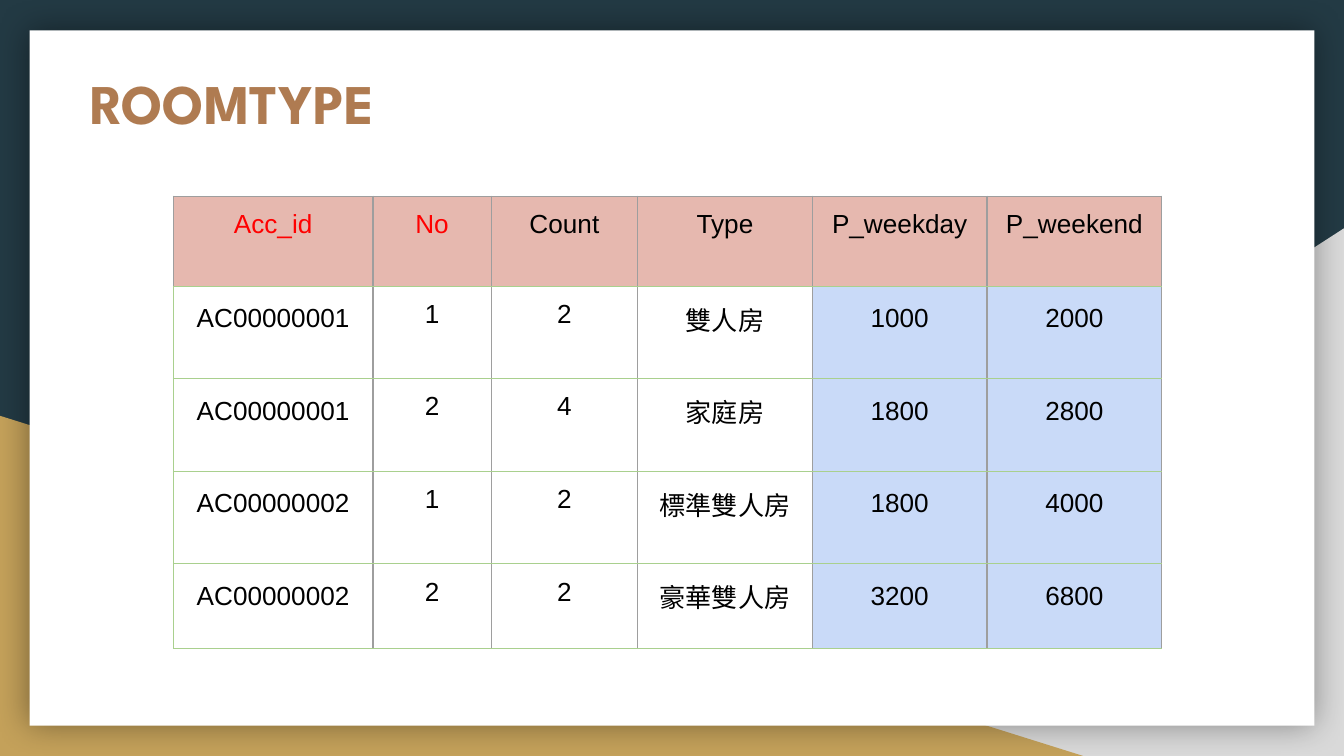
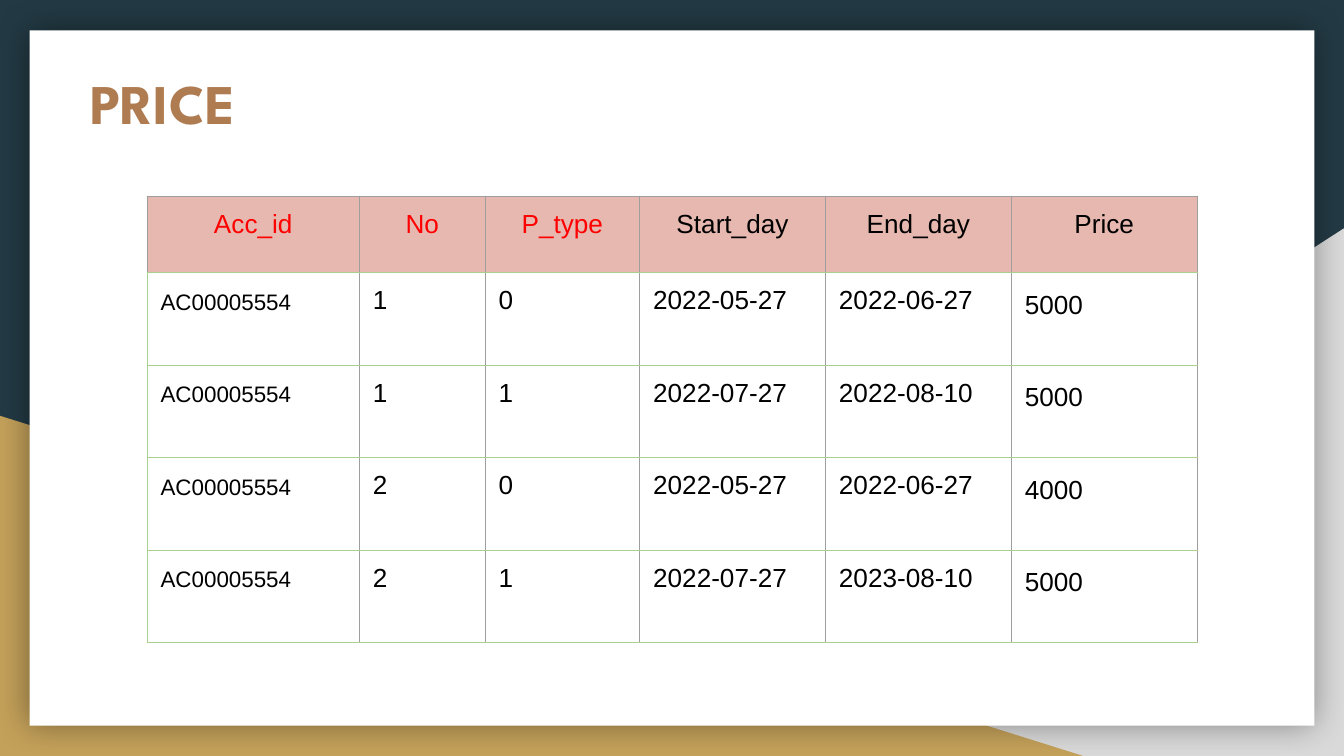
from lxml.etree import SubElement
from pptx import Presentation
from pptx.dml.color import RGBColor
from pptx.enum.shapes import MSO_SHAPE
from pptx.enum.text import MSO_ANCHOR, MSO_AUTO_SIZE, PP_ALIGN
from pptx.oxml.ns import qn
from pptx.util import Inches, Pt

NAVY = RGBColor(0x23, 0x3A, 0x44)
SILVER = RGBColor(0xD9, 0xD9, 0xD9)
GOLD = RGBColor(0xC4, 0xA1, 0x5A)
WHITE = RGBColor(0xFF, 0xFF, 0xFF)
BLACK = RGBColor(0x00, 0x00, 0x00)
BRONZE = RGBColor(0xAF, 0x7B, 0x51)
RED = RGBColor(0xFF, 0x00, 0x00)
ROSE = RGBColor(0xE6, 0xB8, 0xAF)
SKY = RGBColor(0xC9, 0xDA, 0xF8)
GRAY = RGBColor(0x9E, 0x9E, 0x9E)
GREEN = RGBColor(0xA9, 0xD0, 0x8E)

TITLE_FONT, TABLE_FONT = "League Spartan", "Arial"
GRID = 100
INSET = Inches(0.1)
GRAY_LINE, GREEN_LINE = (GRAY, Pt(0.75)), (GREEN, Pt(0.6))


class Deck:
    """Holds the shared style and the current slide, placed on a 100 by 100 grid."""

    def __init__(self):
        self.presentation = Presentation()
        self.presentation.slide_width = Inches(10)
        self.presentation.slide_height = Inches(5.625)
        self.layout = self.presentation.slide_layouts.get_by_name("Title Only")
        self.slide = None

    def across(self, columns):
        return round(self.presentation.slide_width * columns / GRID)

    def down(self, rows):
        return round(self.presentation.slide_height * rows / GRID)

    def place(self, shape, left, top, width, height):
        shape.left, shape.top = self.across(left), self.down(top)
        shape.width, shape.height = self.across(width), self.down(height)

    def add_slide(self, title):
        first = self.slide is None
        self.slide = self.presentation.slides.add_slide(self.layout)
        if first:
            self.add_backdrop()
        self.add_title(title)

    def add_backdrop(self):
        background = self.layout.background.fill
        background.solid()
        background.fore_color.rgb = NAVY
        right = self.add_panel(MSO_SHAPE.RIGHT_TRIANGLE, SILVER, 39.2, 30.2, 60.8, 69.8)
        right.element.spPr.get_or_add_xfrm().set("flipH", "1")
        left = self.add_panel(MSO_SHAPE.RIGHT_TRIANGLE, GOLD, 0, 55, 80.6, 45)
        card = self.add_panel(MSO_SHAPE.RECTANGLE, WHITE, 2.2, 4, 95.6, 92)
        effects = card.element.spPr.find(qn("a:effectLst"))
        shadow = SubElement(effects, qn("a:outerShdw"), blurRad=str(Pt(18)), algn="ctr", rotWithShape="0")
        color = SubElement(shadow, qn("a:srgbClr"), val=str(BLACK))
        SubElement(color, qn("a:alpha"), val="40000")
        for position, panel in enumerate((right, left, card), start=2):
            self.layout.shapes.element.insert(position, panel.element)

    def add_panel(self, kind, color, left, top, width, height):
        shape = self.slide.shapes.add_shape(kind, 0, 0, 0, 0)
        self.place(shape, left, top, width, height)
        shape.shadow.inherit = False
        shape.fill.solid()
        shape.fill.fore_color.rgb = color
        shape.line.fill.background()
        return shape

    def add_title(self, text):
        title = self.slide.shapes.title
        self.place(title, 5.7, 7.3, 82.1, 18.5)
        frame = title.text_frame
        frame.margin_left = frame.margin_right = INSET
        frame.margin_top = frame.margin_bottom = INSET
        frame.auto_size = MSO_AUTO_SIZE.NONE
        frame.vertical_anchor = MSO_ANCHOR.TOP
        frame.word_wrap = True
        paragraph = frame.paragraphs[0]
        paragraph.alignment = PP_ALIGN.LEFT
        self.add_run(paragraph, text, TITLE_FONT, 30, BRONZE, True)

    def add_run(self, paragraph, text, font, size, color, bold=False):
        run = paragraph.add_run()
        run.text = text
        run.font.name = font
        run.font.size = Pt(size)
        run.font.bold = bold
        run.font.color.rgb = color

    def add_table(self, left, widths, heights, rows, keys, spaced, alignment, id_size=14, tinted=()):
        frame = self.slide.shapes.add_table(
            len(rows), len(widths), self.across(left), self.down(25.95),
            self.across(sum(widths)), self.down(sum(heights)))
        table = frame.table
        table.first_row = table.horz_banding = False
        for column, width in zip(table.columns, widths):
            column.width = self.across(width)
        for row, height in zip(table.rows, heights):
            row.height = self.down(height)
        for row_index, values in enumerate(rows):
            header = row_index == 0
            for column_index, text in enumerate(values):
                cell = table.cell(row_index, column_index)
                first = column_index == 0
                self.add_borders(
                    cell,
                    left=GREEN_LINE if first and not header else GRAY_LINE,
                    top=GRAY_LINE if header else GREEN_LINE)
                fill = SKY if column_index in tinted else WHITE
                cell.fill.solid()
                cell.fill.fore_color.rgb = ROSE if header else fill
                cell.margin_left = cell.margin_right = INSET
                cell.margin_top = cell.margin_bottom = INSET
                paragraph = cell.text_frame.paragraphs[0]
                paragraph.alignment = PP_ALIGN.CENTER if header else alignment
                if not header and column_index in spaced:
                    paragraph.line_spacing = 1.15
                color = RED if header and column_index < keys else BLACK
                size = id_size if first and not header else 14
                self.add_run(paragraph, text, TABLE_FONT, size, color)

    def add_borders(self, cell, left, top):
        properties = cell._tc.get_or_add_tcPr()
        sides = {"L": left, "R": GRAY_LINE, "T": top, "B": GREEN_LINE}
        for side, (color, width) in sides.items():
            line = SubElement(properties, qn(f"a:ln{side}"), w=str(width))
            SubElement(SubElement(line, qn("a:solidFill")), qn("a:srgbClr"), val=str(color))


def main():
    deck = Deck()

    deck.add_slide("ROOMTYPE")
    deck.add_table(
        left=12.9,
        widths=[14.85, 8.8, 10.9, 13, 13, 13],
        heights=[11.9, 12.25, 12.25, 12.25, 11.15],
        rows=[
            ["Acc_id", "No", "Count", "Type", "P_weekday", "P_weekend"],
            ["AC00000001", "1", "2", "雙人房", "1000", "2000"],
            ["AC00000001", "2", "4", "家庭房", "1800", "2800"],
            ["AC00000002", "1", "2", "標準雙人房", "1800", "4000"],
            ["AC00000002", "2", "2", "豪華雙人房", "3200", "6800"],
        ],
        keys=2, spaced=(0, 4, 5), alignment=PP_ALIGN.CENTER, tinted=(4, 5))

    deck.add_slide("PRICE")
    deck.add_table(
        left=10.95,
        widths=[15.8, 9.35, 11.5, 13.83, 13.83, 13.83],
        heights=[10.1] + [12.25] * 4,
        rows=[
            ["Acc_id", "No", "P_type", "Start_day", "End_day", "Price"],
            ["AC00005554", "1", "0", "2022-05-27", "2022-06-27", "5000"],
            ["AC00005554", "1", "1", "2022-07-27", "2022-08-10", "5000"],
            ["AC00005554", "2", "0", "2022-05-27", "2022-06-27", "4000"],
            ["AC00005554", "2", "1", "2022-07-27", "2023-08-10", "5000"],
        ],
        keys=3, spaced=(0, 5), alignment=PP_ALIGN.LEFT, id_size=12)

    deck.presentation.save("out.pptx")


if __name__ == "__main__":
    main()
